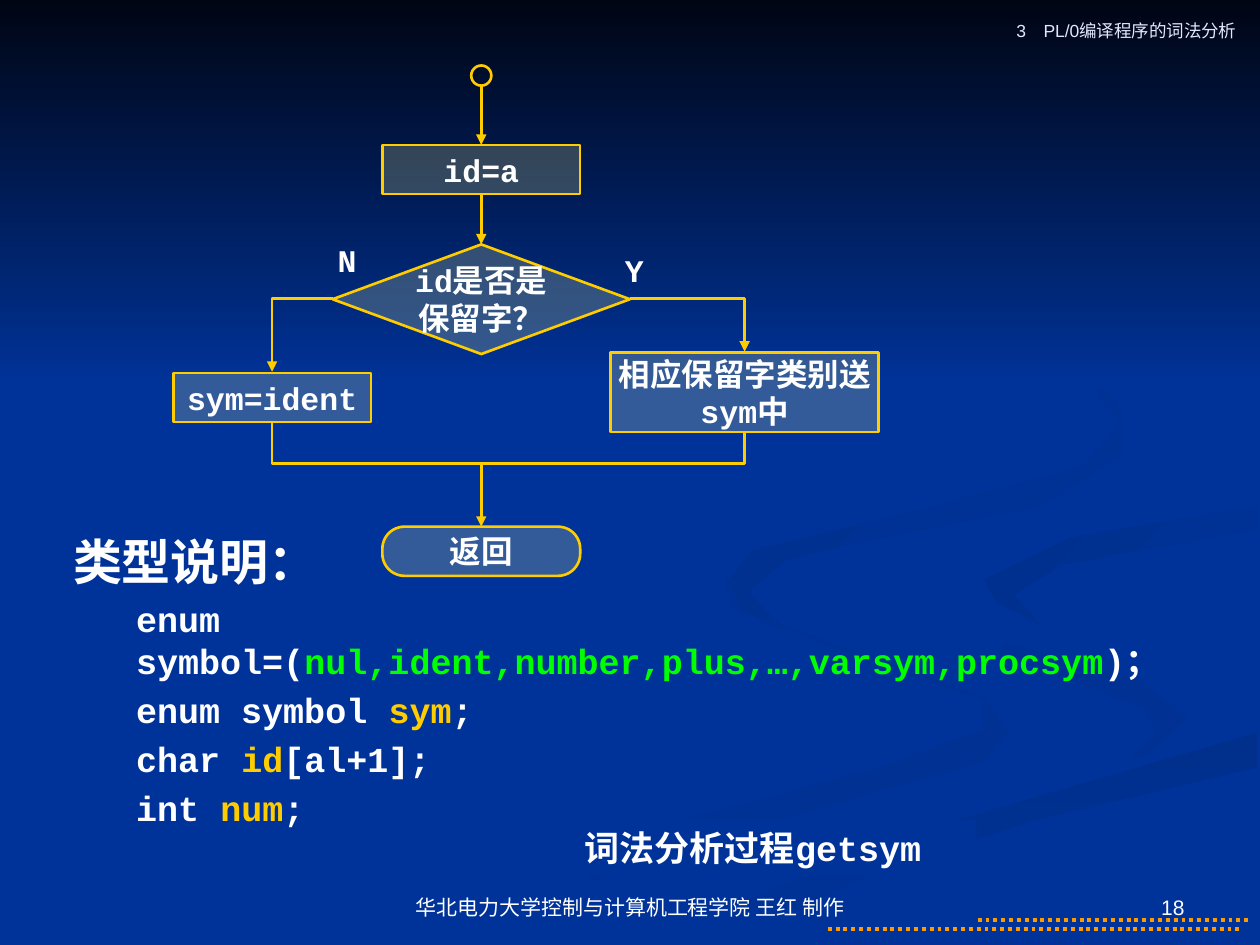
from lxml import etree
from pptx import Presentation
from pptx.dml.color import RGBColor
from pptx.enum.dml import MSO_LINE
from pptx.enum.shapes import MSO_CONNECTOR, MSO_SHAPE
from pptx.enum.text import MSO_ANCHOR, MSO_AUTO_SIZE, PP_ALIGN
from pptx.oxml.ns import qn
from pptx.util import Inches, Pt

STRAIGHT, ELBOW = MSO_CONNECTOR.STRAIGHT, MSO_CONNECTOR.ELBOW
RECT, ROUNDED = MSO_SHAPE.RECTANGLE, MSO_SHAPE.ROUNDED_RECTANGLE
DIAMOND, OVAL = MSO_SHAPE.FLOWCHART_DECISION, MSO_SHAPE.OVAL
LEFT, CENTER, RIGHT = PP_ALIGN.LEFT, PP_ALIGN.CENTER, PP_ALIGN.RIGHT
TOP, MIDDLE, BOTTOM = MSO_ANCHOR.TOP, MSO_ANCHOR.MIDDLE, MSO_ANCHOR.BOTTOM
SITE_TOP, SITE_BOTTOM = 0, 2

COLORS = {
    "back": "003399", "night": "000514", "shade": "003193", "deep": "002F8C",
    "gold": "FFCC00", "tint": "FFFF99", "dots": "FF9900",
    "white": "FFFFFF", "header": "E5E5FF", "green": "00FF00",
}
CODE = {"name": "Courier New", "bold": True}
PLAIN = {"name": "Arial", "bold": False}

RIBBONS = [
    ("back", "shade", 0, [
        (781, 553), (682, 519), (594, 485), (575, 459), (581, 484), (679, 519), (781, 556),
        (780, 579), (699, 609), (499, 661), (300, 749), (361, 749), (499, 687), (676, 634),
        (780, 605), (800, 581)]),
    ("back", "shade", 45, [
        (943, 570), (905, 540), (758, 498), (724, 464), (746, 500), (838, 536), (907, 562),
        (918, 581), (894, 605), (932, 589)]),
    ("deep", "back", 90, [
        (503, 749), (571, 749), (695, 692), (821, 651), (998, 609), (998, 581), (764, 647),
        (599, 706)]),
    ("back", "back", 0, [
        (725, 464), (759, 498), (905, 540), (943, 570), (911, 600), (743, 643), (477, 749),
        (519, 747), (696, 669), (999, 581), (999, 538), (848, 503), (781, 463), (822, 434),
        (999, 402), (999, 387), (770, 427)]),
    ("deep", "back", 45, [
        (781, 460), (791, 478), (826, 496), (805, 472), (843, 448), (998, 420), (998, 402),
        (849, 427)]),
    ("deep", "back", 45, [
        (683, 430), (825, 402), (889, 362), (890, 324), (843, 275), (762, 233), (846, 279),
        (889, 335), (861, 370), (733, 404), (597, 437), (577, 462), (590, 484), (622, 500),
        (594, 470), (624, 444)]),
]

DECLARATIONS = [
    [("enum symbol=(", "white"), ("nul,ident,number,plus,…,varsym,procsym", "green"),
     (")；", "white")],
    [("enum symbol ", "white"), ("sym", "gold"), (";", "white")],
    [("char ", "white"), ("id", "gold"), ("[al+1];", "white")],
    [("int ", "white"), ("num", "gold"), (";", "white")],
]


def color(name):
    return RGBColor.from_string(COLORS[name])


def inches(values):
    return [Inches(value) for value in values]


def place(shape, box):
    for side, value in zip(("left", "top", "width", "height"), inches(box)):
        setattr(shape, side, value)


def write(para, spans, size, face):
    for text, ink in spans:
        span = para.add_run()
        span.text = text
        for key, value in {**face, "size": Pt(size)}.items():
            setattr(span.font, key, value)
        span.font.color.rgb = color(ink)


def set_frame(shape, anchor, insets=(0, 0, 0, 0), wrap=True):
    frame = shape.text_frame
    left, top, right, bottom = inches(insets)
    values = {"auto_size": MSO_AUTO_SIZE.NONE, "word_wrap": wrap, "vertical_anchor": anchor,
              "margin_left": left, "margin_top": top,
              "margin_right": right, "margin_bottom": bottom}
    for key, value in values.items():
        setattr(frame, key, value)
    return frame


def add_label(page, box, text, size, face, align, anchor, ink="white", wrap=True, pad=0):
    shape = page.shapes.add_textbox(*inches(box))
    para = set_frame(shape, anchor, (pad, pad / 2) * 2, wrap).paragraphs[0]
    para.alignment = align
    write(para, [(text, ink)], size, face)


def add_outline(page, points, close):
    builder = page.shapes.build_freeform(*points[0], scale=Inches(0.01))
    builder.add_line_segments(points[1:], close=close)
    return builder.convert_to_shape()


def fill_gradient(shape, start, end, angle):
    shape.shadow.inherit = False
    shape.line.fill.background()
    shape.fill.gradient()
    shape.fill.gradient_angle = (360 - angle) % 360
    for stop, name in zip(shape.fill.gradient_stops, (start, end)):
        stop.color.rgb = color(name)


def add_line(page, start, end, kind=STRAIGHT, ink="gold", width=1.5, arrow=True):
    line = page.shapes.add_connector(kind, *inches(start + end))
    line.line.color.rgb = color(ink)
    line.line.width = Pt(width)
    properties = line._element.spPr
    if kind == ELBOW:
        properties.find(qn("a:prstGeom")).set("prst", "bentConnector2")
    if arrow:
        etree.SubElement(line.line._get_or_add_ln(), qn("a:tailEnd"), type="triangle")
    etree.SubElement(properties, qn("a:effectLst"))
    return line


def add_backdrop(page, box):
    page.background.fill.solid()
    page.background.fill.fore_color.rgb = color("back")
    for start, end, angle, points in RIBBONS:
        fill_gradient(add_outline(page, points, True), start, end, angle)
    fill_gradient(page.shapes.add_shape(RECT, *inches(box)), "night", "back", 90)
    for left, right, y in ((7.76, 9.92, 7.3), (6.57, 9.84, 7.37)):
        dots = add_line(page, (left, y), (right, y), ink="dots", width=2.25, arrow=False)
        dots.line.dash_style = MSO_LINE.ROUND_DOT


def add_node(page, kind, center, top, width, height, text="", pad=0):
    node = page.shapes.add_shape(kind, *inches((center - width / 2, top, width, height)))
    node.shadow.inherit = False
    node.line.color.rgb = color("gold")
    node.line.width = Pt(1.5)
    if not text:
        node.fill.background()
        return node
    node.fill.solid()
    node.fill.fore_color.rgb = color("tint")
    tint = node._element.spPr.find(qn("a:solidFill"))[0]
    etree.SubElement(tint, qn("a:alpha"), val="20000")
    para = set_frame(node, MIDDLE, (pad, 0.05 if pad else 0) * 2).paragraphs[0]
    para.alignment = CENTER
    write(para, [(text, "white")], 18, CODE)
    return node


def add_flowchart(page, box):
    left, top, width, height = box
    middle, no, yes = left + 2.44, left + 0.78, left + 4.53
    add_node(page, OVAL, middle, top, 0.16, 0.16)
    assign = add_node(page, RECT, middle, top + 0.63, 1.57, 0.39, "id=a", 0.02)
    test = add_node(page, DIAMOND, middle, top + 1.42, 2.36, 0.87, "id是否是保留字？")
    add_node(page, RECT, no, top + 2.44, 1.57, 0.39, "sym=ident", 0.02)
    add_node(page, RECT, yes, top + 2.28, 2.13, 0.63, "相应保留字类别送sym中", 0.02)
    finish = add_node(page, ROUNDED, middle, top + height - 0.39, 1.57, 0.39, "返回")
    finish.adjustments[0] = 0.45
    for x, text_top, text in ((left + 3.38, 1.5, "Y"), (left + 1.1, 1.42, "N")):
        add_label(page, (x, top + text_top, 0.55, 0.24), text, 18, CODE, CENTER, MIDDLE,
                  wrap=False)

    branch, merge = top + 1.85, top + 3.16
    add_line(page, (middle - 1.18, branch), (no, top + 2.43), ELBOW)
    add_line(page, (middle + 1.18, branch), (yes, top + 2.27), ELBOW)
    path = [(no, top + 2.84), (no, merge), (yes, merge), (yes, top + 2.92)]
    join = add_outline(page, [(round(x * 100), round(y * 100)) for x, y in path], False)
    join.shadow.inherit = False
    join.fill.background()
    join.line.color.rgb = color("gold")
    join.line.width = Pt(1.5)

    for start, source, target in ((0.17, None, assign), (1.02, assign, test),
                                  (3.16, None, finish)):
        arrow = add_line(page, (middle, top + start), (middle, top + start + 0.4))
        if source is not None:
            arrow.begin_connect(source, SITE_BOTTOM)
        arrow.end_connect(target, SITE_TOP)


def add_declarations(page, body, box):
    page.shapes._spTree.append(body._element)
    place(body, box)
    frame = set_frame(body, TOP)
    for index, spans in enumerate([[("类型说明：", "white")]] + DECLARATIONS):
        para = frame.add_paragraph() if index else frame.paragraphs[0]
        para.level = 1 if index else 0
        properties = para._p.get_or_add_pPr()
        properties.set("marL", str(Inches(0.5) if index else 0))
        properties.set("indent", "0")
        etree.SubElement(properties, qn("a:buNone"))
        para.space_before = Pt(4 if index else 0)
        write(para, spans, 20 if index else 28, CODE)


def add_caption(page, title, box):
    page.shapes._spTree.append(title._element)
    place(title, box)
    title.fill.solid()
    title.fill.fore_color.rgb = color("back")
    para = set_frame(title, MIDDLE, (0.1, 0.05) * 2, wrap=False).paragraphs[0]
    para.alignment = LEFT
    write(para, [("词法分析过程getsym", "white")], 20, CODE)


def add_margins(page):
    add_label(page, (7.17, 6.83, 2.33, 0.52), "18", 12, PLAIN, RIGHT, BOTTOM, pad=0.1)
    add_label(page, (3.11, 6.83, 3.78, 0.52), "华北电力大学控制与计算机工程学院 王红 制作",
              12, PLAIN, CENTER, BOTTOM, pad=0.1)
    add_label(page, (7.94, 0.11, 1.97, 0.27), "3　PL/0编译程序的词法分析",
              10, PLAIN, RIGHT, TOP, ink="header", pad=0.1)


def main():
    deck = Presentation()
    deck.slide_width, deck.slide_height = Inches(10), Inches(7.5)
    page = deck.slides.add_slide(deck.slide_layouts[1])
    title, body = page.shapes.title, page.placeholders[1]
    add_backdrop(page, (0, 0, 10, 3.08))
    add_margins(page)
    add_flowchart(page, (1.38, 0.52, 5.59, 4.05))
    add_declarations(page, body, (0.58, 4.22, 8.98, 2.4))
    add_caption(page, title, (4.54, 6.51, 3.21, 0.43))
    deck.save("out.pptx")


if __name__ == "__main__":
    main()
